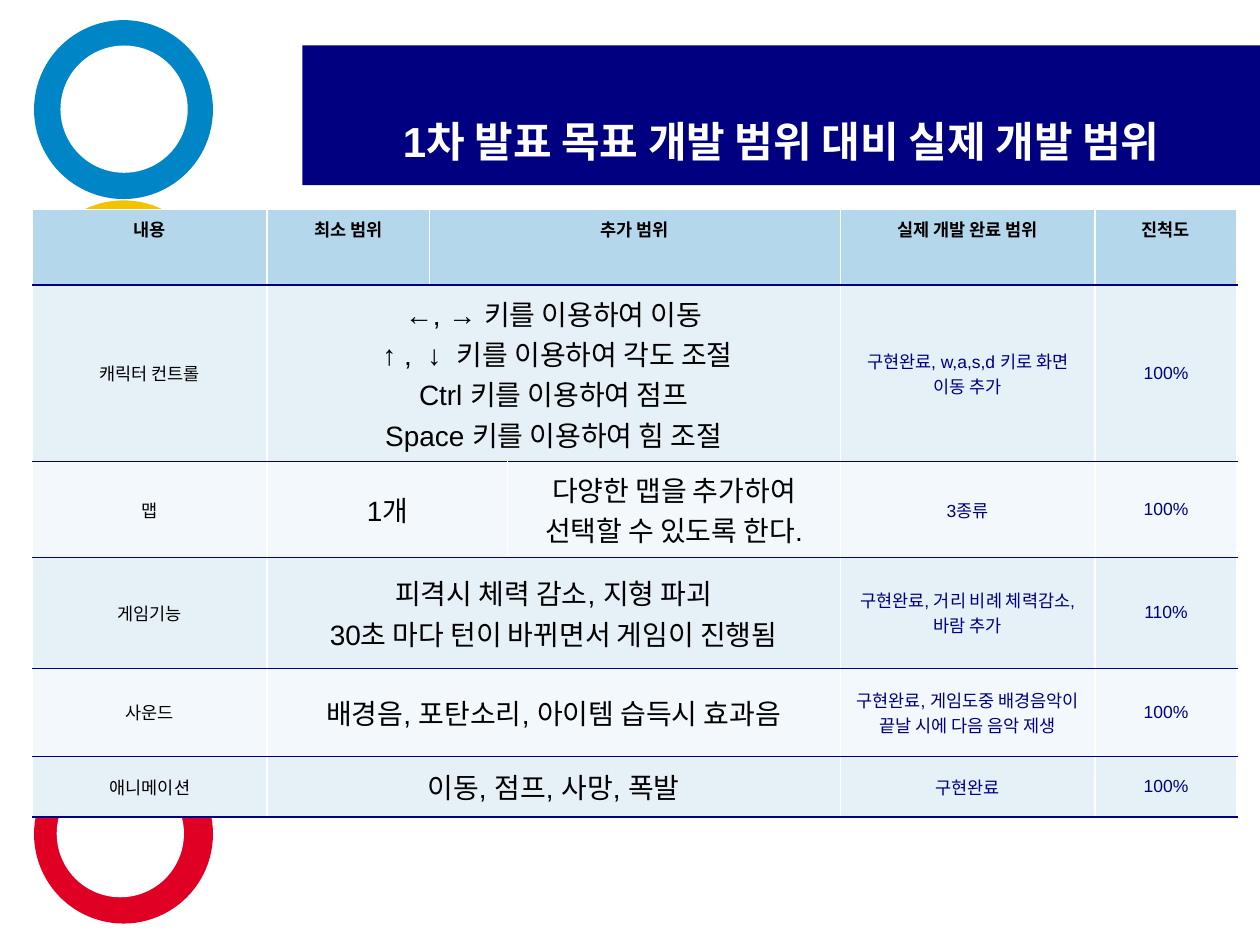
import dataclasses

import lxml.etree
import pptx
import pptx.dml.color
import pptx.enum.shapes
import pptx.enum.text
import pptx.oxml.ns
import pptx.util

Pt = pptx.util.Pt
CENTER = pptx.enum.text.PP_ALIGN.CENTER
MIDDLE = pptx.enum.text.MSO_ANCHOR.MIDDLE
NAVY, WHITE, BLACK = "000080", "FFFFFF", "000000"
HEADER_FILL, ODD_FILL, EVEN_FILL = "B4D7EB", "E5F0F7", "F2F8FB"


@dataclasses.dataclass
class Ring:
    color: str
    top: float
    hole_left: float = 34.56


@dataclasses.dataclass
class Entry:
    column: int
    text: str
    size: float = 10
    color: str = BLACK
    span: int = 1


@dataclasses.dataclass
class Row:
    height: float
    entries: list[Entry]


def rgb(value: str) -> pptx.dml.color.RGBColor:
    return pptx.dml.color.RGBColor.from_string(value)


def add_solid(slide, kind, left: float, top: float, width: float, height: float, color: str):
    shape = slide.shapes.add_shape(kind, Pt(left), Pt(top), Pt(width), Pt(height))
    shape.shadow.inherit = False
    shape.fill.solid()
    shape.fill.fore_color.rgb = rgb(color)
    shape.line.fill.background()
    return shape


def style_paragraph(paragraph, size: float, color: str, bold: bool) -> None:
    paragraph.alignment = CENTER
    paragraph.font.name = "Arial"
    paragraph.font.size = Pt(size)
    paragraph.font.bold = bold
    paragraph.font.color.rgb = rgb(color)


def add_rings(slide, rings: list[Ring]) -> None:
    oval = pptx.enum.shapes.MSO_SHAPE.OVAL
    for ring in rings:
        add_solid(slide, oval, 19.44, ring.top, 102.24, 102.24, ring.color)
    for ring in rings:
        add_solid(slide, oval, ring.hole_left, ring.top + 14.5, 72.72, 72.72, WHITE)


def add_title(slide, text: str) -> None:
    rectangle = pptx.enum.shapes.MSO_SHAPE.RECTANGLE
    banner = add_solid(slide, rectangle, 172.8, 25.92, 547.2, 79.92, NAVY)
    banner.text_frame.word_wrap = True
    banner.text_frame.vertical_anchor = MIDDLE
    title = banner.text_frame.paragraphs[0]
    title.text = text
    title.line_spacing = 2.0
    title.space_before = Pt(12)
    style_paragraph(title, 24, WHITE, True)


def set_borders(cell, top: str) -> None:
    properties = cell._tc.get_or_add_tcPr()
    sides = {"lnL": WHITE, "lnR": WHITE, "lnT": top, "lnB": NAVY}
    for index, (side, color) in enumerate(sides.items()):
        line = lxml.etree.Element(pptx.oxml.ns.qn(f"a:{side}"), w=str(Pt(1)))
        fill = lxml.etree.SubElement(line, pptx.oxml.ns.qn("a:solidFill"))
        lxml.etree.SubElement(fill, pptx.oxml.ns.qn("a:srgbClr"), val=color)
        properties.insert(index, line)


def add_scope_table(slide, widths: list[float], rows: list[Row]) -> None:
    frame = slide.shapes.add_table(
        len(rows), len(widths), Pt(18.72), Pt(119.8),
        Pt(sum(widths)), Pt(sum(row.height for row in rows)))
    table = frame.table
    for column, width in zip(table.columns, widths):
        column.width = Pt(width)
    for index, row in enumerate(rows):
        header = index == 0
        table.rows[index].height = Pt(row.height)
        for cell in table.rows[index].cells:
            cell.fill.solid()
            cell.fill.fore_color.rgb = rgb(
                HEADER_FILL if header else ODD_FILL if index % 2 else EVEN_FILL)
            set_borders(cell, WHITE if header else NAVY)
        for entry in row.entries:
            cell = table.cell(index, entry.column)
            if entry.span > 1:
                cell.merge(table.cell(index, entry.column + entry.span - 1))
            if not header:
                cell.vertical_anchor = MIDDLE
            cell.text_frame.text = entry.text
            for paragraph in cell.text_frame.paragraphs:
                style_paragraph(paragraph, entry.size, entry.color, header)


def feature(height: float, name: str, scope: list[Entry], result: str, progress: str) -> Row:
    return Row(height, [Entry(0, name), *scope,
                        Entry(4, result, color=NAVY), Entry(5, progress, color=NAVY)])


def shared(text: str) -> list[Entry]:
    return [Entry(1, text, 16, span=3)]


RINGS = [
    Ring("0085C7", 11.52),
    Ring("F4C300", 114.48),
    Ring("000000", 216),
    Ring("009F3D", 320.4, 32.4),
    Ring("DF0024", 425.52, 32.4),
]
COLUMN_WIDTHS = [133.92, 92.88, 44.64, 190.08, 145.44, 81.36]
ROWS = [
    Row(43.2, [Entry(0, "내용"), Entry(1, "최소 범위"), Entry(2, "추가 범위", span=2),
               Entry(4, "실제 개발 완료 범위"), Entry(5, "진척도")]),
    feature(100.8, "캐릭터 컨트롤",
            shared("←, → 키를 이용하여 이동\n ↑ ,  ↓  키를 이용하여 각도 조절\n"
                   "Ctrl 키를 이용하여 점프\nSpace 키를 이용하여 힘 조절"),
            "구현완료, w,a,s,d 키로 화면 이동 추가", "100%"),
    feature(54.72, "맵",
            [Entry(1, "1개", 16, span=2),
             Entry(3, "다양한 맵을 추가하여 선택할 수 있도록 한다.", 16)],
            "3종류", "100%"),
    feature(63.36, "게임기능",
            shared("피격시 체력 감소, 지형 파괴\n30초 마다 턴이 바뀌면서 게임이 진행됨"),
            "구현완료, 거리 비례 체력감소, 바람 추가", "110%"),
    feature(50.4, "사운드", shared("배경음, 포탄소리, 아이템 습득시 효과음"),
            "구현완료, 게임도중 배경음악이 끝날 시에 다음 음악 제생", "100%"),
    feature(34.56, "애니메이션", shared("이동, 점프, 사망, 폭발"), "구현완료", "100%"),
]

presentation = pptx.Presentation()
presentation.slide_width = Pt(720)
presentation.slide_height = Pt(540)
scope_slide = presentation.slides.add_slide(presentation.slide_layouts[6])
add_rings(scope_slide, RINGS)
add_title(scope_slide, "1차 발표 목표 개발 범위 대비 실제 개발 범위")
add_scope_table(scope_slide, COLUMN_WIDTHS, ROWS)
presentation.save("out.pptx")
